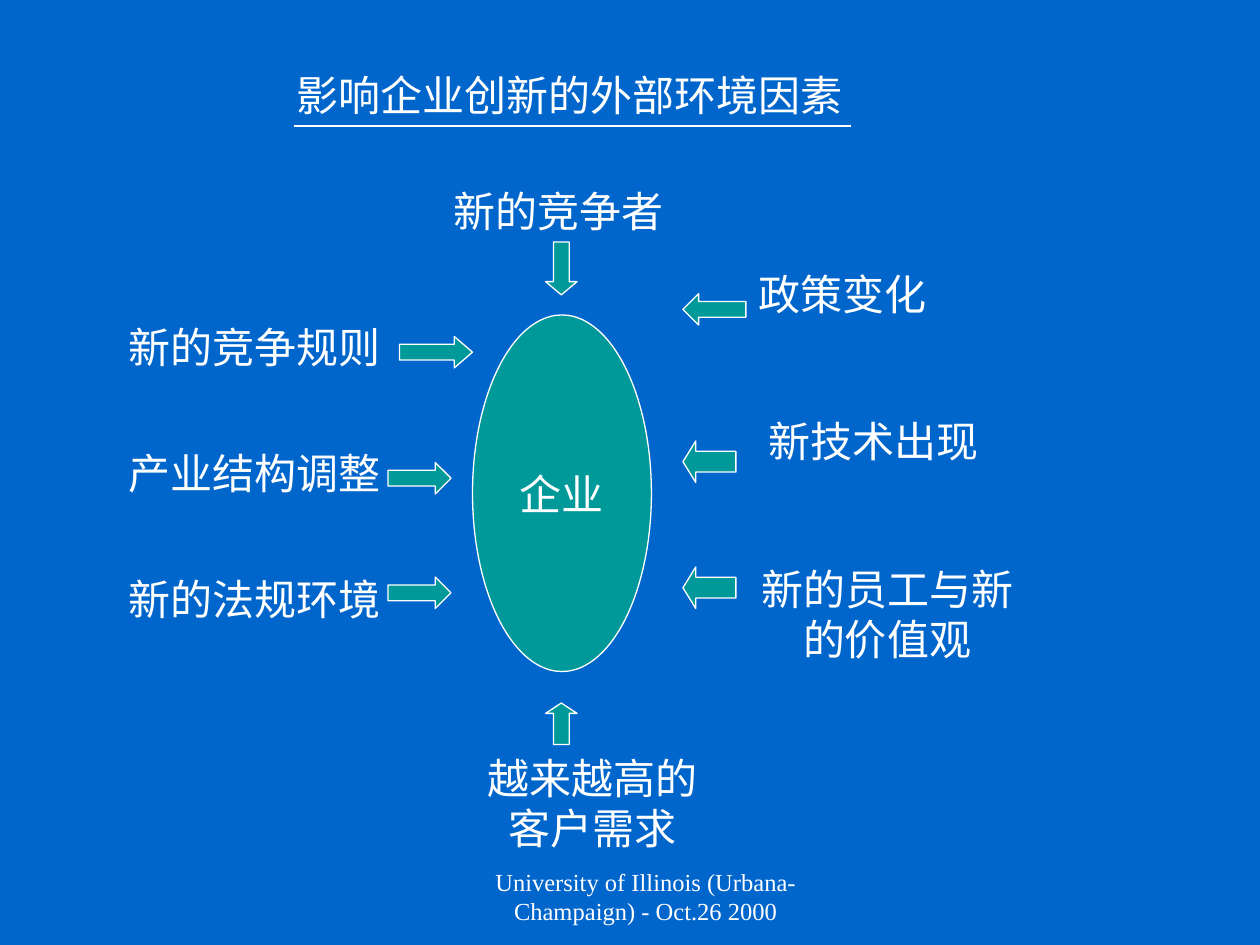
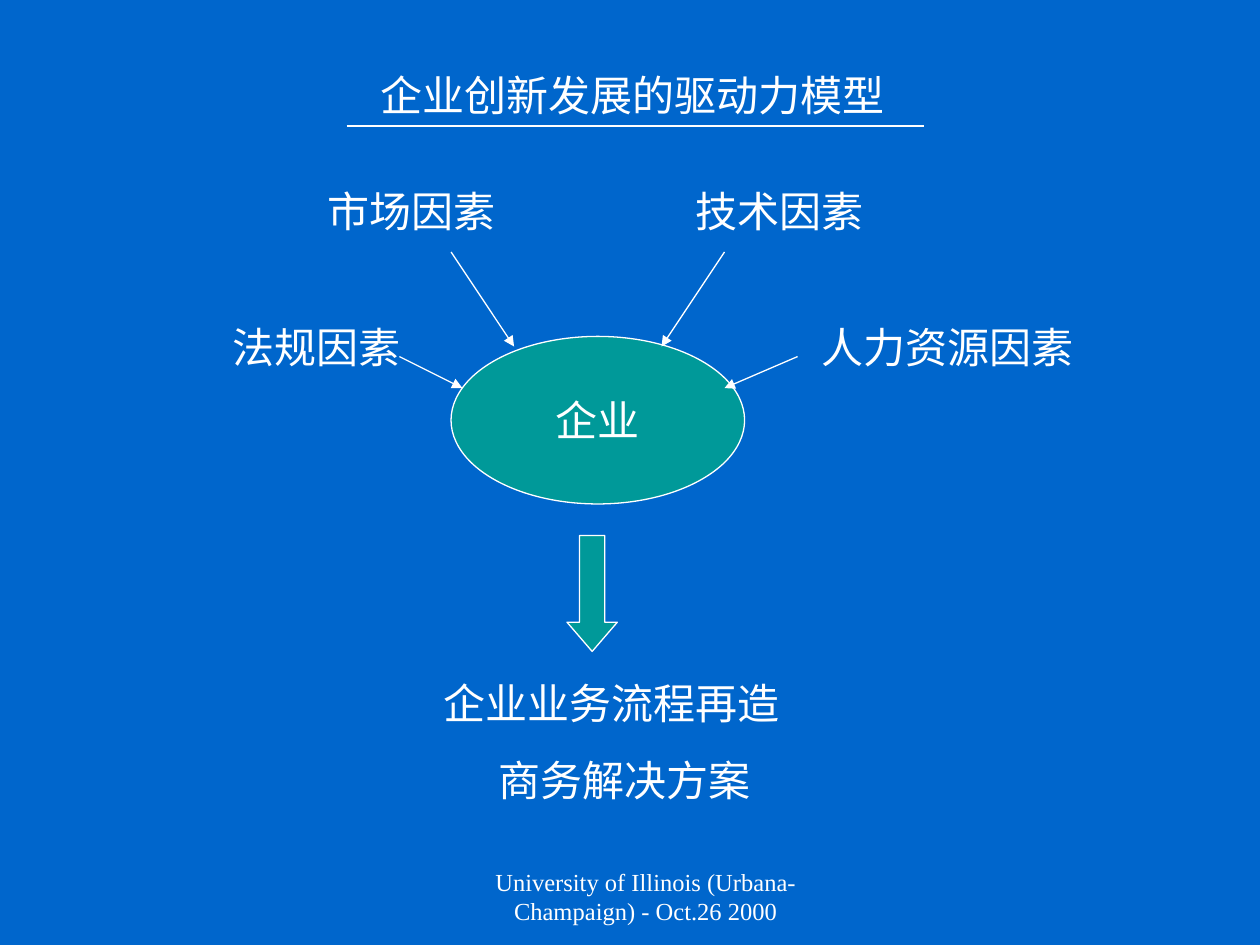
"""Build two slides on the outside forces that drive enterprise innovation."""
from lxml import etree
from pptx import Presentation
from pptx import util as u
from pptx.dml.color import RGBColor
from pptx.enum import shapes, text
from pptx.oxml.ns import qn

COLOURS = {"ground": "0066CC", "accent": "009999", "ink": "FFFFFF"}
INK = RGBColor.from_string(COLOURS["ink"])
ACCENT = RGBColor.from_string(COLOURS["accent"])
LABEL_FONT = {"name": "Times New Roman", "size": u.Pt(24), "bold": False}
FOOTER_FONT = {"name": "Times New Roman", "size": u.Pt(14), "bold": False}
FRAME = {"word_wrap": True, "auto_size": text.MSO_AUTO_SIZE.NONE,
         "vertical_anchor": text.MSO_ANCHOR.TOP,
         "margin_left": u.Inches(0.1), "margin_right": u.Inches(0.1),
         "margin_top": u.Inches(0.05), "margin_bottom": u.Inches(0.05)}
FOOTER = "University of Illinois (Urbana-Champaign) - Oct.26 2000"
LEFT, CENTRE = text.PP_ALIGN.LEFT, text.PP_ALIGN.CENTER
ARROWS = {"right": shapes.MSO_SHAPE.RIGHT_ARROW, "left": shapes.MSO_SHAPE.LEFT_ARROW,
          "down": shapes.MSO_SHAPE.DOWN_ARROW, "up": shapes.MSO_SHAPE.UP_ARROW}


def write(box, lines, aligns, font=LABEL_FONT, **frame_changes):
    frame = box.text_frame
    for name, value in {**FRAME, **frame_changes}.items():
        setattr(frame, name, value)
    for index, (line, align) in enumerate(zip(lines, aligns)):
        para = frame.add_paragraph() if index else frame.paragraphs[0]
        para.text = line
        para.alignment = align
        para.space_before = u.Pt(15 if index else 0)
        for span in para.runs:
            for name, value in font.items():
                setattr(span.font, name, value)
            span.font.color.rgb = INK


def add_solid(page, kind, place):
    solid = page.shapes.add_shape(kind, *map(u.Inches, place))
    solid.shadow.inherit = False
    solid.fill.solid()
    solid.fill.fore_color.rgb = ACCENT
    solid.line.color.rgb = INK
    solid.line.width = u.Pt(0.75)
    return solid


PAGES = [
    {"title": ("影响企业创新的外部环境因素", 2.25, 5.5),
     "rule": (2.33, 6.75),
     "company": (3.75, 2.5, 1.42, 2.83),
     "labels": [
         (["新的竞争者"], [LEFT], (3.5, 1.42, 2.25, 0.5)),
         (["越来越高的\n客户需求"], [CENTRE], (3.58, 5.92, 2.25, 0.9)),
         (["政策变化"], [LEFT], (5.92, 2.08, 1.83, 0.5)),
         (["新技术出现"], [LEFT], (6, 3.25, 2.17, 0.5)),
         (["新的员工与新的价值观"], [CENTRE], (5.83, 4.42, 2.42, 0.9)),
         (["新的竞争规则"], [LEFT], (0.92, 2.5, 2.5, 0.5)),
         (["产业结构调整"], [LEFT], (0.92, 3.5, 2.5, 0.5)),
         (["新的法规环境"], [LEFT], (0.92, 4.5, 2.5, 0.5))],
     "arrows": [
         ("right", 0.58, (3.17, 2.67, 0.58, 0.25)),
         ("right", 0.5, (3.08, 3.67, 0.5, 0.25)),
         ("right", 0.5, (3.08, 4.58, 0.5, 0.25)),
         ("down", 0.42, (4.33, 1.92, 0.25, 0.42)),
         ("left", 0.31, (5.42, 3.5, 0.42, 0.33)),
         ("left", 0.31, (5.42, 4.5, 0.42, 0.33)),
         ("left", 0.5, (5.42, 2.33, 0.5, 0.25)),
         ("up", 0.33, (4.33, 5.58, 0.25, 0.33))],
     "pointers": []},
    {"title": ("企业创新发展的驱动力模型", 2.92, 4.83),
     "rule": (2.75, 7.33),
     "company": (3.58, 2.67, 2.33, 1.33),
     "labels": [
         (["法规因素"], [LEFT], (1.75, 2.5, 1.58, 0.5)),
         (["市场因素"], [LEFT], (2.5, 1.42, 1.83, 0.5)),
         (["技术因素"], [LEFT], (5.42, 1.42, 1.75, 0.5)),
         (["人力资源因素"], [LEFT], (6.42, 2.5, 2.5, 0.5)),
         (["企业业务流程再造", "商务解决方案"], [LEFT, CENTRE], (3.42, 5.33, 3.08, 1.11))],
     "arrows": [("down", 0.58, (4.5, 4.25, 0.4, 0.92))],
     "pointers": [(3.58, 2, 4.08, 2.75), (3.17, 2.83, 3.67, 3.08),
                  (6.33, 2.83, 5.75, 3.08), (5.75, 2, 5.25, 2.75)]},
]

deck = Presentation()
deck.slide_width, deck.slide_height = u.Inches(10), u.Inches(7.5)
ground = deck.slide_master.background.fill
ground.solid()
ground.fore_color.rgb = RGBColor.from_string(COLOURS["ground"])

for content in PAGES:
    page = deck.slides.add_slide(deck.slide_layouts[5])

    wording, left, width = content["title"]
    title = page.shapes.title
    title.left, title.top = u.Inches(left), u.Inches(0.5)
    title.width, title.height = u.Inches(width), u.Inches(0.5)
    write(title, [wording], [LEFT])

    company = add_solid(page, shapes.MSO_SHAPE.OVAL, content["company"])
    write(company, ["企业"], [CENTRE], word_wrap=False,
          vertical_anchor=text.MSO_ANCHOR.MIDDLE)

    for lines, aligns, place in content["labels"]:
        label = page.shapes.add_textbox(*map(u.Inches, place))
        write(label, lines, aligns)

    for direction, head, place in content["arrows"]:
        arrow = add_solid(page, ARROWS[direction], place)
        arrow.adjustments[0], arrow.adjustments[1] = 0.5, head

    rule_start, rule_end = content["rule"]
    for ends in [(rule_start, 1, rule_end, 1)] + content["pointers"]:
        line = page.shapes.add_connector(shapes.MSO_CONNECTOR.STRAIGHT, *map(u.Inches, ends))
        line.line.color.rgb = INK
        line.line.width = u.Pt(0.75)
        if ends in content["pointers"]:
            etree.SubElement(line.line._get_or_add_ln(), qn("a:tailEnd"), type="triangle")
        etree.SubElement(line._element.spPr, qn("a:effectLst"))

    footer = page.shapes.add_textbox(*map(u.Inches, (3.42, 6.83, 3.17, 0.5)))
    write(footer, [FOOTER], [CENTRE], FOOTER_FONT)
    indent = footer.text_frame.paragraphs[0]._p.get_or_add_pPr()
    indent.set("marL", str(u.Inches(0.24)))
    indent.set("indent", "0")

deck.save("out.pptx")
